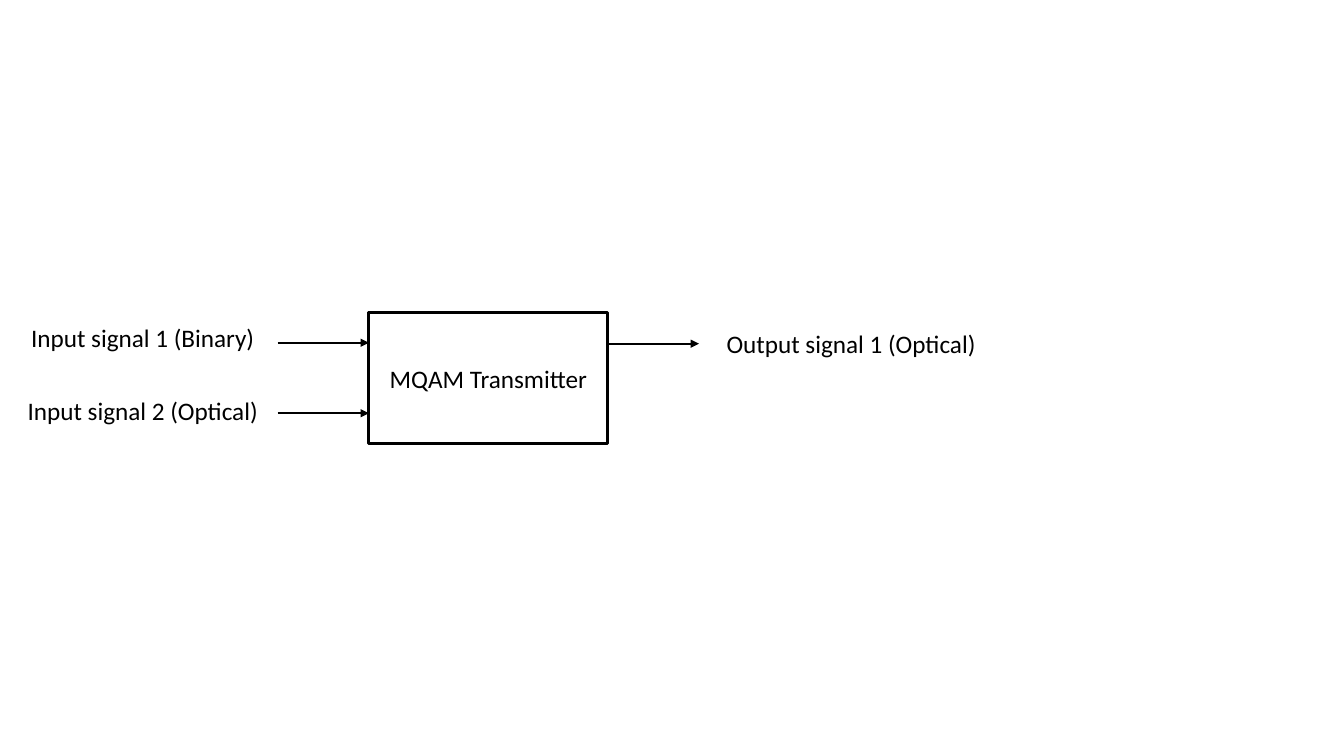
import pptx
import pptx.dml.color
import pptx.enum.shapes
import pptx.enum.text
import pptx.oxml
import pptx.oxml.ns
import pptx.util

Pt = pptx.util.Pt

# Content: label, arrow height, label centre height
TRANSMITTER = "MQAM Transmitter"
INPUTS = [
    ("Input signal 1 (Binary)", 244.8, 241.2),
    ("Input signal 2 (Optical)", 295.2, 293),
]
OUTPUTS = [("Output signal 1 (Optical)", 245.5, 245.5)]

THEME = {
    "font": "Calibri",
    "size": 18,
    "ink": pptx.dml.color.RGBColor(0, 0, 0),
    "box_line": 2,
    "arrow_line": 1.5,
}

# Layout in points
BOX_LEFT, BOX_TOP, BOX_WIDTH, BOX_HEIGHT = 263.5, 223.2, 170.6, 93.6
BOX_RIGHT = BOX_LEFT + BOX_WIDTH
ARROW_LENGTH = 65.2
LABEL_HEIGHT = 29
INPUT_CENTRE, INPUT_WIDTH = 102, 192
OUTPUT_CENTRE, OUTPUT_WIDTH = 608, 237

presentation = pptx.Presentation()
presentation.slide_width = Pt(960)
presentation.slide_height = Pt(540)
slide = presentation.slides.add_slide(presentation.slide_layouts[6])


def write_text(text, *, shape, size=THEME["size"], color=THEME["ink"], wrap=True):
    frame = shape.text_frame
    frame.word_wrap = wrap
    frame.vertical_anchor = pptx.enum.text.MSO_ANCHOR.MIDDLE
    paragraph = frame.paragraphs[0]
    paragraph.alignment = pptx.enum.text.PP_ALIGN.CENTER
    run = paragraph.add_run()
    run.text = text
    run.font.name = THEME["font"]
    run.font.size = Pt(size)
    run.font.color.rgb = color


def add_label(text, centre, middle, width):
    shape = slide.shapes.add_textbox(
        Pt(centre - width / 2), Pt(middle - LABEL_HEIGHT / 2), Pt(width), Pt(LABEL_HEIGHT))
    write_text(text, shape=shape)


def add_arrow(start, height):
    arrow = slide.shapes.add_connector(
        pptx.enum.shapes.MSO_CONNECTOR.STRAIGHT,
        Pt(start), Pt(height), Pt(start + ARROW_LENGTH), Pt(height))
    arrow.line.color.rgb = THEME["ink"]
    arrow.line.width = Pt(THEME["arrow_line"])
    namespace = pptx.oxml.ns.nsdecls("a")
    arrow.line._get_or_add_ln().append(
        pptx.oxml.parse_xml(f'<a:tailEnd {namespace} type="triangle"/>'))
    arrow._element.spPr.append(pptx.oxml.parse_xml(f"<a:effectLst {namespace}/>"))


# Transmitter block
box = slide.shapes.add_shape(
    pptx.enum.shapes.MSO_SHAPE.RECTANGLE,
    Pt(BOX_LEFT), Pt(BOX_TOP), Pt(BOX_WIDTH), Pt(BOX_HEIGHT))
box.shadow.inherit = False
box.fill.background()
box.line.color.rgb = THEME["ink"]
box.line.width = Pt(THEME["box_line"])
write_text(TRANSMITTER, shape=box)

# Signals: arrows into and out of the block, with their labels
for signals, start, centre, width in (
    (INPUTS, BOX_LEFT - ARROW_LENGTH, INPUT_CENTRE, INPUT_WIDTH),
    (OUTPUTS, BOX_RIGHT, OUTPUT_CENTRE, OUTPUT_WIDTH),
):
    for text, arrow_height, label_middle in signals:
        add_arrow(start, arrow_height)
        add_label(text, centre, label_middle, width)

presentation.save("out.pptx")
